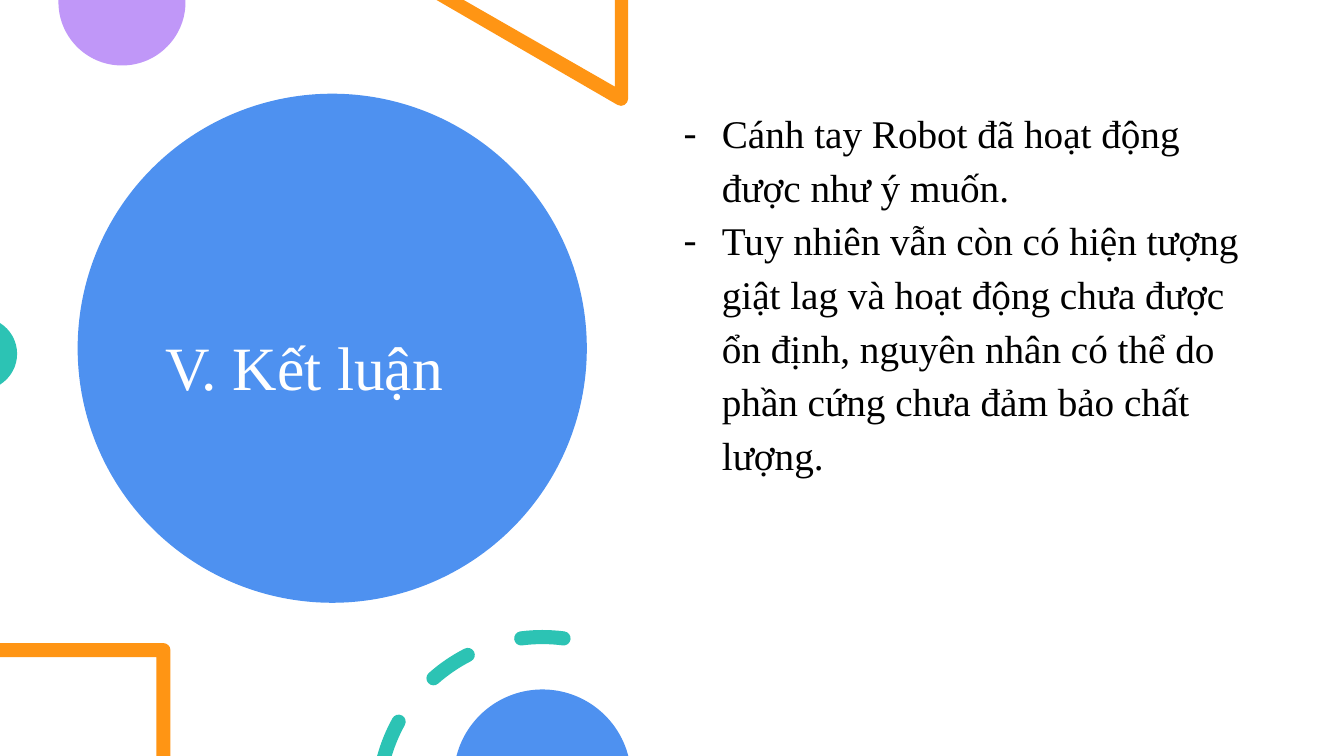
from dataclasses import dataclass
from math import asin, cos, degrees, radians, sin, tan

from lxml import etree
from pptx import Presentation
from pptx import util as u
from pptx.dml import color
from pptx.enum import shapes, text
from pptx.oxml import ns


@dataclass(frozen=True)
class Theme:
    blue: str = "4E91F0"
    purple: str = "C097F8"
    orange: str = "FF9514"
    teal: str = "2CC3B4"
    white: str = "FFFFFF"
    black: str = "000000"
    font: str = "Times New Roman"
    title_size: int = 44
    body_size: int = 28


THEME = Theme()
WIDTH, HEIGHT = 13.33, 7.5
STROKE = 0.14
CONCLUSIONS = [
    "Cánh tay Robot đã hoạt động được như ý muốn.",
    "Tuy nhiên vẫn còn có hiện tượng giật lag và hoạt động chưa được ổn định, "
    "nguyên nhân có thể do phần cứng chưa đảm bảo chất lượng.",
]


def rgb(value):
    return color.RGBColor.from_string(value)


def paint(shape, fill):
    shape.shadow.inherit = False
    shape.fill.solid()
    shape.fill.fore_color.rgb = rgb(fill)
    shape.line.fill.background()


def add_preset(slide, kind, left, top, width, height, fill):
    shape = slide.shapes.add_shape(kind, *(u.Inches(v) for v in (left, top, width, height)))
    paint(shape, fill)
    return shape


def polar(x, y, radius, angle):
    return x + radius * cos(radians(angle)), y + radius * sin(radians(angle))


def arc(x, y, radius, start, end, pieces=1):
    sweep = (end - start) / pieces
    pull = radius * 4 / 3 * tan(radians(sweep / 4))
    steps = [[polar(x, y, radius, start)]]
    for i in range(pieces):
        a, b = start + i * sweep, start + (i + 1) * sweep
        leave, arrive = polar(x, y, radius, a), polar(x, y, radius, b)
        steps.append([polar(*leave, pull, a + 90), polar(*arrive, pull, b - 90), arrive])
    return steps


def corners(*points):
    return [[point] for point in points]


def draw_outlines(slide, outlines, fill):
    builder = None
    for steps in outlines:
        start, *rest = [(u.Inches(x), u.Inches(y)) for step in steps for x, y in step]
        if builder is None:
            builder = slide.shapes.build_freeform(*start, scale=1.0)
        else:
            builder.move_to(*start)
        builder.add_line_segments(rest, close=True)
    shape = builder.convert_to_shape()
    segments = iter(list(shape._element.iter(ns.qn("a:lnTo"))))
    for step in (step for steps in outlines for step in steps[1:]):
        parts = [next(segments) for _ in step]
        if len(parts) == 3:
            curve = etree.Element(ns.qn("a:cubicBezTo"))
            parts[0].addprevious(curve)
            for part in parts:
                curve.append(part[0])
                part.getparent().remove(part)
    paint(shape, fill)


def place_text(shape, left, top, width, height):
    shape.left, shape.top = u.Inches(left), u.Inches(top)
    shape.width, shape.height = u.Inches(width), u.Inches(height)
    frame = shape.text_frame
    frame.word_wrap = True
    frame.auto_size = text.MSO_AUTO_SIZE.NONE
    frame.margin_left = frame.margin_right = frame.margin_top = u.Inches(0.12)
    frame.margin_bottom = u.Inches(0.1)
    return frame


def style(paragraph, size, ink, spacing):
    paragraph.alignment = text.PP_ALIGN.LEFT
    paragraph.line_spacing = spacing
    paragraph.font.name = THEME.font
    paragraph.font.size = u.Pt(size)
    paragraph.font.color.rgb = rgb(ink)


def title_disc(slide, left, top, size):
    disc = add_preset(slide, shapes.MSO_SHAPE.OVAL, left, top, size, size, THEME.blue)
    title = slide.shapes.title
    disc._element.addnext(title._element)
    frame = place_text(title, left + 0.75, top + 0.42, 3.54, 4.45)
    frame.vertical_anchor = text.MSO_ANCHOR.MIDDLE
    frame.text = "V. Kết luận"
    style(frame.paragraphs[0], THEME.title_size, THEME.white, 1.13)


def conclusion_list(slide, left, top, width, height):
    frame = place_text(slide.shapes.add_textbox(0, 0, 0, 0), left, top, width, height)
    for i, conclusion in enumerate(CONCLUSIONS):
        paragraph = frame.paragraphs[0] if i == 0 else frame.add_paragraph()
        paragraph.text = conclusion
        properties = paragraph._p.get_or_add_pPr()
        properties.set("marL", str(u.Inches(0.38)))
        properties.set("indent", str(-u.Inches(0.38)))
        etree.SubElement(properties, ns.qn("a:buFont"), typeface=THEME.font)
        etree.SubElement(properties, ns.qn("a:buChar"), char="-")
        style(paragraph, THEME.body_size, THEME.black, 1.14)
    paragraph.space_after = u.Pt(8)


def top_shapes(slide, left, top):
    draw_outlines(slide, [arc(left + 1.21, top + 0.02, 0.63, -2, 182, 2)], THEME.purple)
    right = left + 6.23
    triangle = corners((right, top), (right - 0.13, top), (right - 0.13, top + 0.86),
                       (left + 4.6, top), (left + 4.33, top))
    tip = arc(right - 0.07, top + 0.98, 0.07, 120, 0, 2)
    draw_outlines(slide, [triangle + tip], THEME.orange)


def left_disc(slide, left, middle):
    draw_outlines(slide, [arc(left - 0.19, middle, 0.36, -58, 58, 2)], THEME.teal)


def corner_square(slide, left, bottom, width, height):
    right, top = left + width, bottom - height
    corner = arc(right - 0.07, top + 0.07, 0.07, -90, 0)
    inside = corners((right, bottom), (right - STROKE, bottom), (right - STROKE, top + STROKE),
                     (left, top + STROKE), (left, top))
    draw_outlines(slide, [corner + inside], THEME.orange)


def dashed_ring(slide, x, y, bottom):
    radius, half = 1.63, STROKE / 2
    inner, outer = radius - half, radius + half

    def cap(angle, turn):
        center = polar(x, y, radius, angle)
        return arc(*center, half, angle + turn, angle + turn + 180, 2)[1:]

    def cut_angle(edge):
        return 180 + degrees(asin((y - bottom) / edge))

    def dash(start, end):
        return (arc(x, y, outer, start, end) + cap(end, 0)
                + arc(x, y, inner, end, start)[1:] + cap(start, 180))

    cut_dash = (arc(x, y, outer, cut_angle(outer), 209) + cap(209, 0)
                + arc(x, y, inner, 209, cut_angle(inner))[1:])
    draw_outlines(slide, [cut_dash, dash(228.5, 243), dash(262.6, 277.4)], THEME.teal)


def bottom_disc(slide, x, bottom):
    draw_outlines(slide, [arc(x, bottom + 0.22, 0.88, 194.5, 345.5, 2)], THEME.blue)


def main():
    deck = Presentation()
    deck.slide_width, deck.slide_height = u.Inches(WIDTH), u.Inches(HEIGHT)
    slide = deck.slides.add_slide(deck.slide_layouts.get_by_name("Title Only"))
    add_preset(slide, shapes.MSO_SHAPE.RECTANGLE, 0, 0, WIDTH, HEIGHT, THEME.white)
    title_disc(slide, 0.77, 0.93, 5.05)
    top_shapes(slide, 0, 0)
    left_disc(slide, 0, 3.51)
    conclusion_list(slide, 6.66, 0.9, 5.75, 5.35)
    corner_square(slide, 0, HEIGHT, 1.69, 1.12)
    dashed_ring(slide, 5.38, 7.95, HEIGHT)
    bottom_disc(slide, 5.38, HEIGHT)
    deck.save("out.pptx")


if __name__ == "__main__":
    main()
